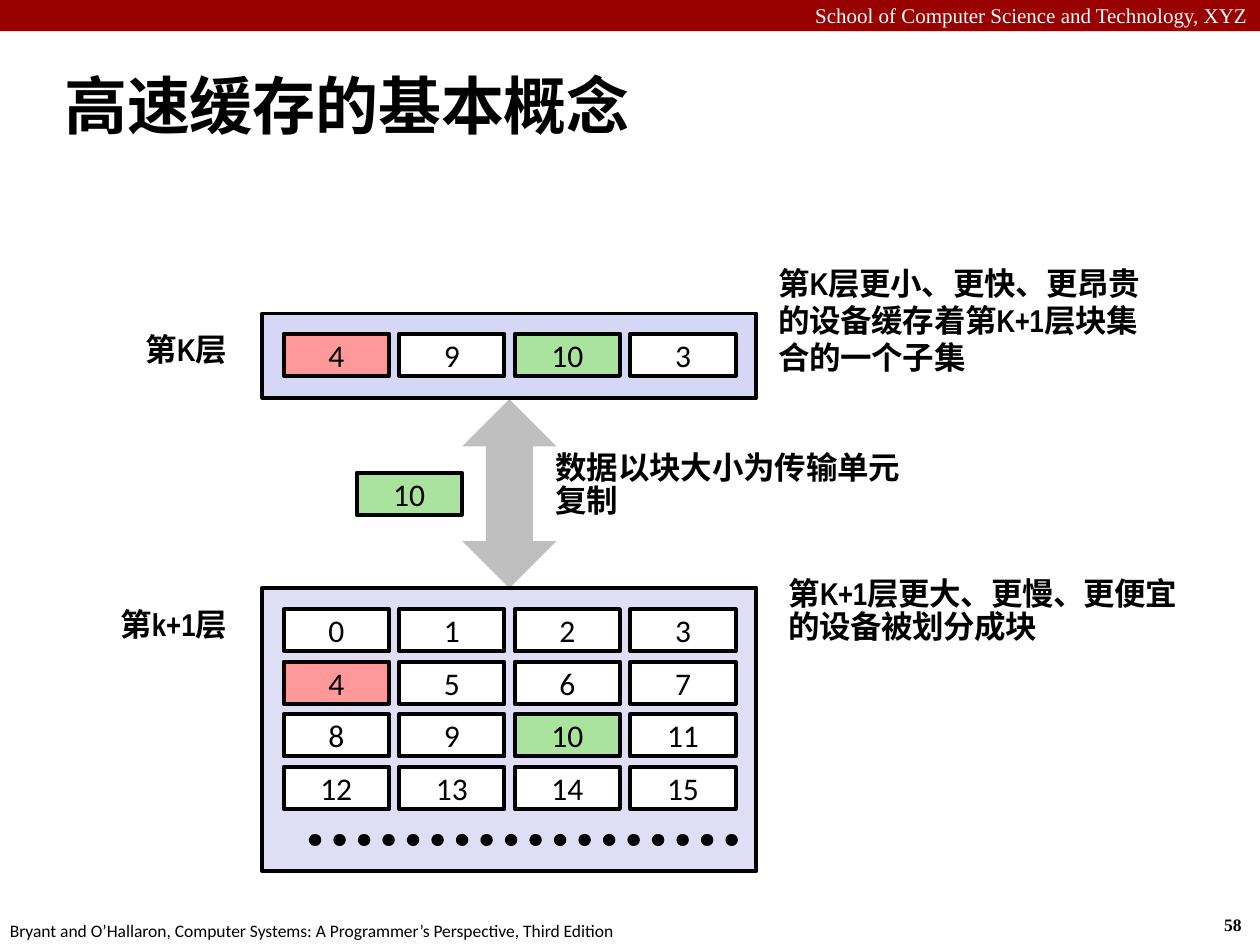
import pptx
import pptx.util
import pptx.dml.color
import pptx.enum.dml
import pptx.enum.shapes
import pptx.enum.text
import pptx.oxml

Cm, Pt = pptx.util.Cm, pptx.util.Pt
RGBColor = pptx.dml.color.RGBColor
ALIGN = pptx.enum.text.PP_ALIGN
ANCHOR = pptx.enum.text.MSO_ANCHOR
SHAPE = pptx.enum.shapes.MSO_SHAPE

BLACK = RGBColor(0x00, 0x00, 0x00)
WHITE = RGBColor(0xFF, 0xFF, 0xFF)
BANNER_RED = RGBColor(0x99, 0x00, 0x00)
ARROW_GRAY = RGBColor(0xBF, 0xBF, 0xBF)
UPPER_BLUE = RGBColor(0xD6, 0xD6, 0xF5)
LOWER_BLUE = RGBColor(0xDE, 0xDF, 0xF5)
PINK = RGBColor(0xFF, 0x99, 0x99)
GREEN = RGBColor(0xA9, 0xE3, 0x9D)

# Block grid, in centimetres
GRID_X, CELL_W, CELL_H = 5.72, 2.12, 0.85
STEP_X, STEP_Y = 2.33, 1.06
COLUMNS = 4
BLOCK_FILLS = {4: PINK, 10: GREEN}


def format_text(p, size, font, color=BLACK, bold=False, align=ALIGN.LEFT):
    p.alignment = align
    p.font.size = Pt(size)
    p.font.name = font
    p.font.bold = bold
    p.font.color.rgb = color


def set_spacing(p, points):
    """Set character spacing on every run."""
    for r in p.runs:
        r.font._element.set("spc", str(round(points * 100)))


def add_box(s, kind, x, y, w, h, fill, outlined=True):
    sp = s.shapes.add_shape(kind, Cm(x), Cm(y), Cm(w), Cm(h))
    sp.shadow.inherit = False
    sp.fill.solid()
    sp.fill.fore_color.rgb = fill
    if outlined:
        sp.line.color.rgb = BLACK
        sp.line.width = Pt(2.25)
    else:
        sp.line.fill.background()
    return sp


def add_block(s, x, y, number):
    fill = BLOCK_FILLS.get(number, WHITE)
    tf = add_box(s, SHAPE.RECTANGLE, x, y, CELL_W, CELL_H, fill).text_frame
    tf.vertical_anchor = ANCHOR.MIDDLE
    p = tf.paragraphs[0]
    p.text = str(number)
    format_text(p, 18, "Calibri", align=ALIGN.CENTER)


def add_blocks(s, top, numbers):
    for i, number in enumerate(numbers):
        row, col = divmod(i, COLUMNS)
        add_block(s, GRID_X + col * STEP_X, top + row * STEP_Y, number)


def add_text(s, x, y, w, h, text, size, font, wrap=True, **style):
    tf = s.shapes.add_textbox(Cm(x), Cm(y), Cm(w), Cm(h)).text_frame
    tf.word_wrap = wrap
    p = tf.paragraphs[0]
    p.text = text
    format_text(p, size, font, **style)
    return tf


def add_note(s, x, y, w, h, text, line_spacing, spacing):
    tf = add_text(s, x, y, w, h, text, 18, "Arial Narrow", bold=True)
    tf.vertical_anchor = ANCHOR.MIDDLE
    p = tf.paragraphs[0]
    p.line_spacing = line_spacing
    set_spacing(p, spacing)


def add_title(s, text):
    sp = s.shapes.title
    sp.left, sp.top, sp.width, sp.height = Cm(1.04), Cm(1.04), Cm(24.16), Cm(2.11)
    tf = sp.text_frame
    tf.text = text
    tf.vertical_anchor = ANCHOR.MIDDLE
    tf.auto_size = pptx.enum.text.MSO_AUTO_SIZE.NONE
    p = tf.paragraphs[0]
    format_text(p, 36, "Calibri", bold=True)
    set_spacing(p, -0.1)
    # Hanging indent
    pPr = p._p.get_or_add_pPr()
    pPr.set("marL", str(Cm(0.33)))
    pPr.set("indent", str(-Cm(0.33)))


def add_dots(s, x1, x2, y):
    line = s.shapes.add_connector(
        pptx.enum.shapes.MSO_CONNECTOR.STRAIGHT, Cm(x1), Cm(y), Cm(x2), Cm(y))
    line.line.color.rgb = BLACK
    line.line.width = Pt(7)
    line.line.dash_style = pptx.enum.dml.MSO_LINE.ROUND_DOT
    line.line._get_or_add_ln().set("cap", "rnd")
    line._element.spPr.append(pptx.oxml.parse_xml(
        '<a:effectLst xmlns:a="http://schemas.openxmlformats.org/drawingml/2006/main"/>'))


def main():
    prs = pptx.Presentation()
    prs.slide_width, prs.slide_height = Cm(25.4), Cm(19.05)
    s = prs.slides.add_slide(prs.slide_layouts[5])

    # Banner, footer and title
    add_box(s, SHAPE.RECTANGLE, 0, 0, 25.4, 0.63, BANNER_RED, outlined=False)
    add_text(s, 0, -0.08, 25.4, 0.77,
             "School of Computer Science and Technology, XYZ",
             12, "Times New Roman", color=WHITE, align=ALIGN.RIGHT)
    add_text(s, 24.43, 18.31, 0.94, 0.68, "58", 10, "Times New Roman",
             wrap=False, bold=True)
    add_text(s, -0.05, 18.42, 12.9, 0.68,
             "Bryant and O’Hallaron, Computer Systems: "
             "A Programmer’s Perspective, Third Edition",
             10, "Calibri", wrap=False)
    add_title(s, "高速缓存的基本概念")

    # Transfer between the two levels
    add_box(s, SHAPE.UP_DOWN_ARROW, 9.32, 8.05, 1.9, 3.81, ARROW_GRAY,
            outlined=False)
    add_block(s, 7.19, 9.53, 10)

    # Level k+1 and level k
    add_box(s, SHAPE.RECTANGLE, 5.29, 11.85, 9.96, 5.71, LOWER_BLUE)
    add_box(s, SHAPE.RECTANGLE, 5.29, 6.32, 9.96, 1.7, UPPER_BLUE)
    add_blocks(s, 12.28, range(16))
    add_blocks(s, 6.73, (4, 9, 10, 3))
    add_dots(s, 6.35, 14.82, 16.93)

    # Level labels, right-aligned to a common edge
    for text, y, w in (("第K层", 6.53, 2.21), ("第k+1层", 12.07, 2.72)):
        add_text(s, 4.83 - w, y, w, 1.02, text, 18, "Arial Narrow",
                 bold=True, align=ALIGN.RIGHT)

    # Explanations
    add_note(s, 15.65, 11.53, 8.89, 1.6,
             "第K+1层更大、更慢、更便宜的设备被划分成块", Pt(18.7), -0.3)
    add_note(s, 10.95, 8.99, 7.87, 1.6,
             "数据以块大小为传输单元复制", Pt(18.7), -0.1)
    add_note(s, 15.44, 5.33, 8.26, 2.29,
             "第K层更小、更快、更昂贵的设备缓存着第K+1层块集合的一个子集",
             0.98, -0.2)

    prs.save("out.pptx")


if __name__ == "__main__":
    main()
